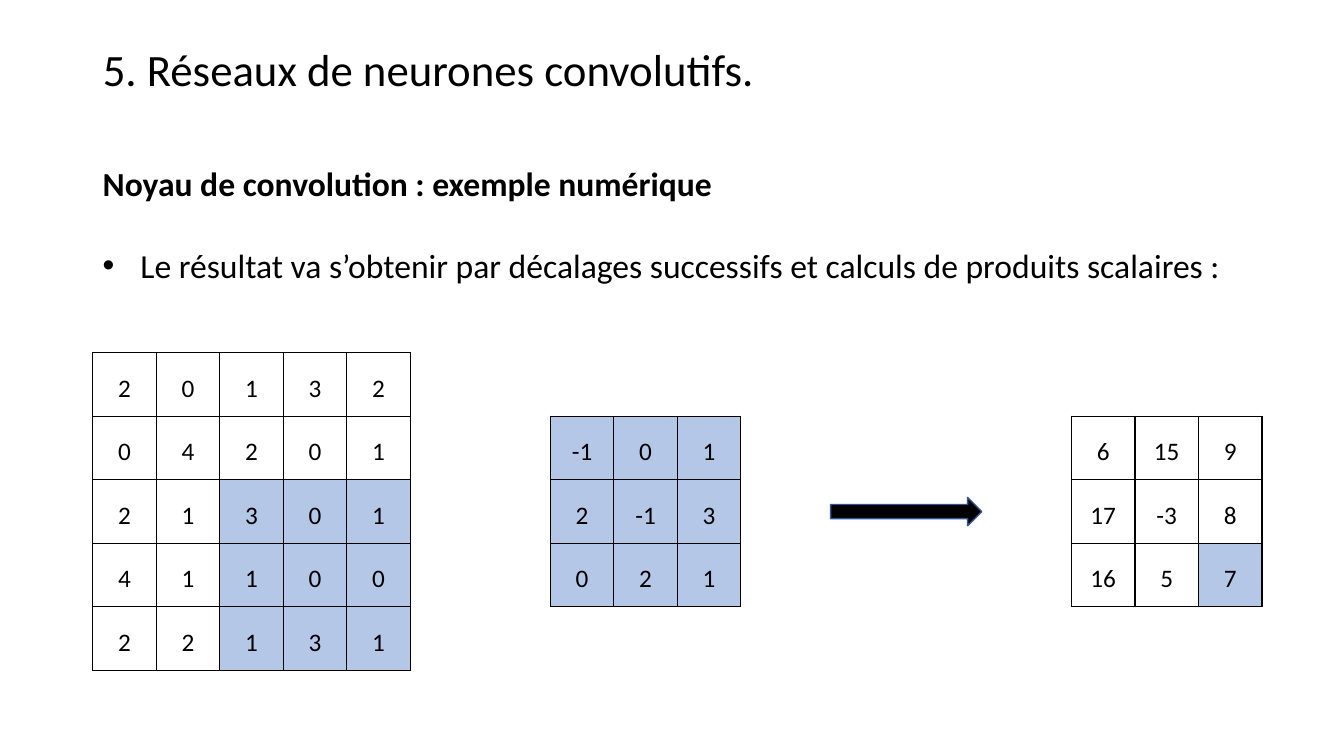
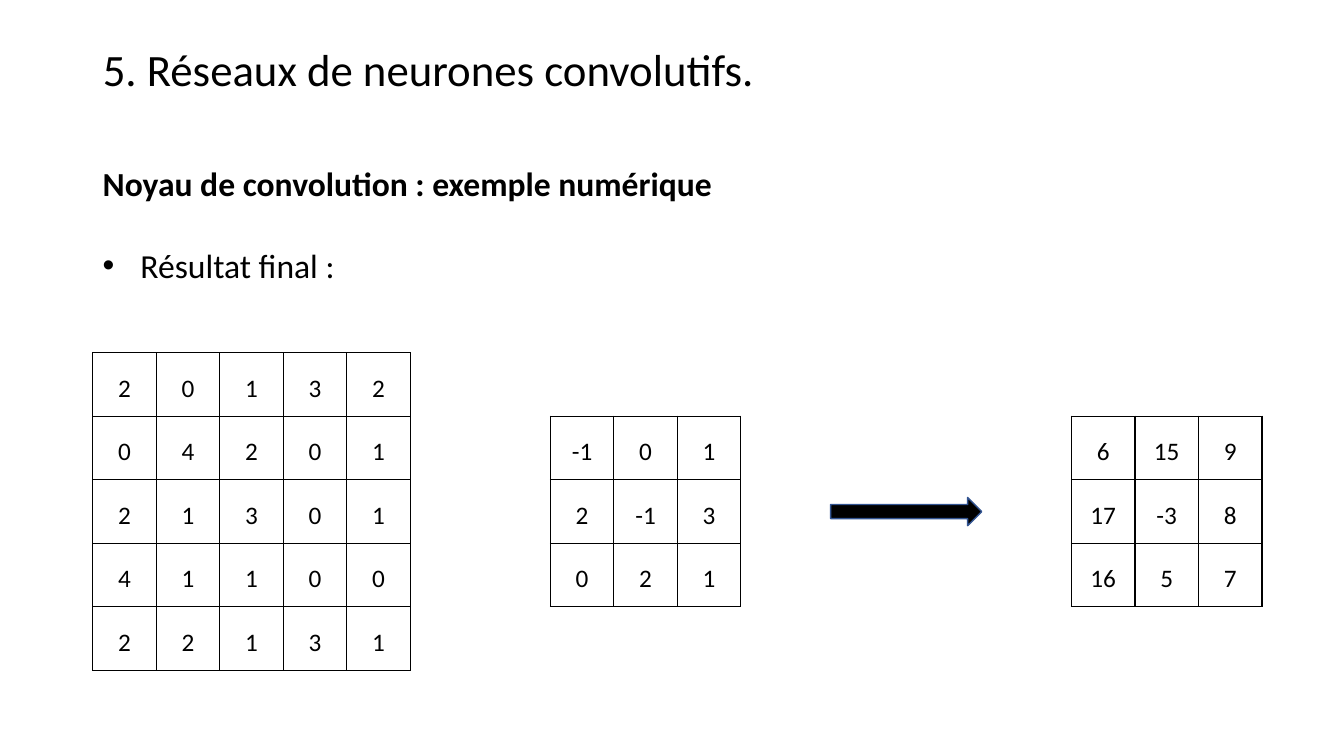
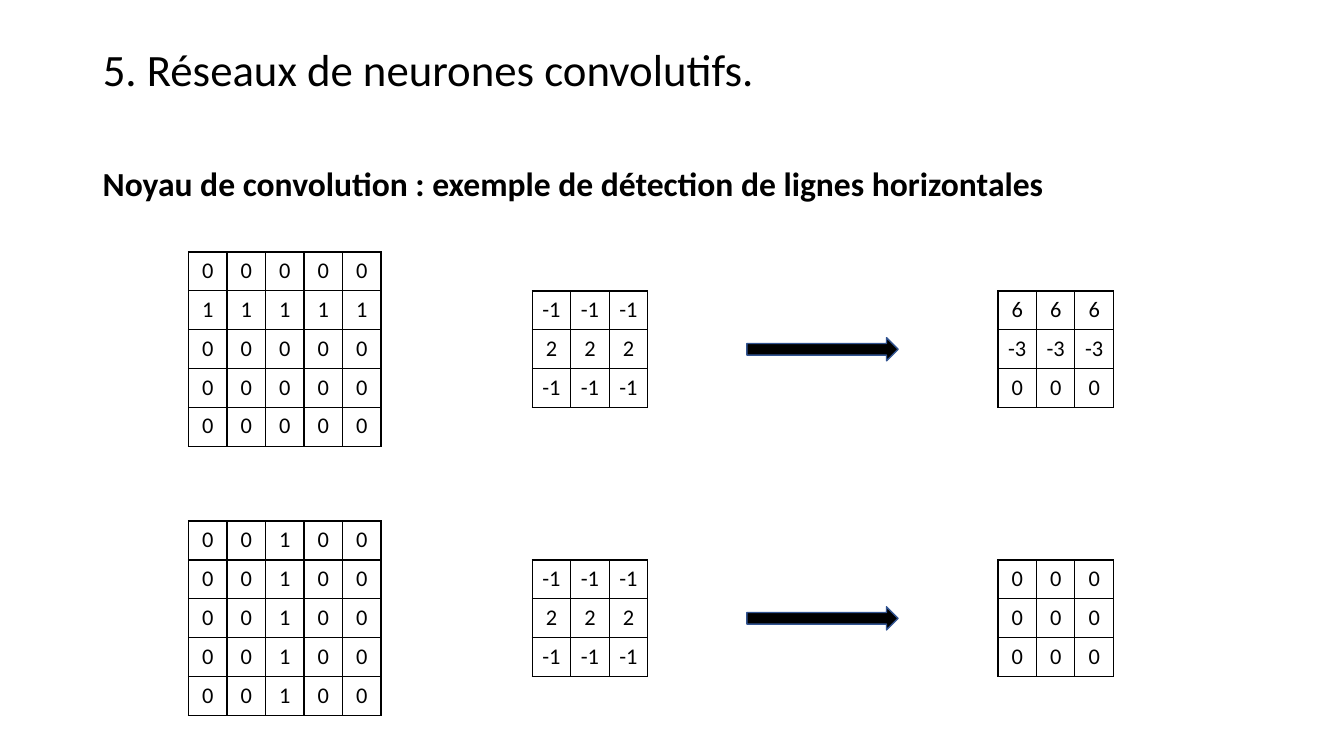
from dataclasses import dataclass
from typing import Optional

from lxml.etree import SubElement
from pptx import Presentation
from pptx.dml.color import RGBColor
from pptx.enum.shapes import MSO_SHAPE
from pptx.enum.text import MSO_ANCHOR, MSO_AUTO_SIZE, PP_ALIGN
from pptx.oxml.ns import qn
from pptx.util import Pt

COLORS = {
    "text": "000000",
    "cell": "FFFFFF",
    "window": "B4C7E7",
    "arrow": "000000",
    "arrow_edge": "325491",
}
FONT = "Calibri"
TITLE = "5. Réseaux de neurones convolutifs."
MARGIN = 66.24
HEADING_SIZE = 24
BULLET_INDENT = 27
ARROW_WIDTH = 108
GRID_LINE = 1

Matrix = list[list[int]]
Position = tuple[int, int]


@dataclass(frozen=True)
class GridStyle:
    cell_width: float
    cell_height: float
    font_size: float
    line_spacing: float
    image_left: float
    kernel_left: float
    arrow_left: float
    result_left: float
    arrow_height: float


@dataclass(frozen=True)
class Convolution:
    image: Matrix
    kernel: Matrix
    center_y: float
    window: Optional[Position] = None


@dataclass(frozen=True)
class Page:
    heading: str
    bullet: Optional[str]
    style: GridStyle
    convolutions: list[Convolution]


LARGE = GridStyle(45.36, 45.36, 18, 1.5, MARGIN, 393.12, 593.28, 765.36, 20.16)
SMALL = GridStyle(27.5, 27.8, 16, 1, 134.64, 380.16, 533.52, 712.8, 16.56)

NUMERIC_HEADING = "Noyau de convolution : exemple numérique"
NUMERIC_IMAGE = [
    [2, 0, 1, 3, 2],
    [0, 4, 2, 0, 1],
    [2, 1, 3, 0, 1],
    [4, 1, 1, 0, 0],
    [2, 2, 1, 3, 1],
]
NUMERIC_KERNEL = [[-1, 0, 1], [2, -1, 3], [0, 2, 1]]
NUMERIC_CENTER = 365.4

HORIZONTAL_LINE = [[int(row == 1)] * 5 for row in range(5)]
VERTICAL_LINE = [[0, 0, 1, 0, 0] for _ in range(5)]
LINE_KERNEL = [[-1] * 3, [2] * 3, [-1] * 3]

PAGES = [
    Page(
        NUMERIC_HEADING,
        "Le résultat va s’obtenir par décalages successifs et calculs de produits scalaires :",
        LARGE,
        [Convolution(NUMERIC_IMAGE, NUMERIC_KERNEL, NUMERIC_CENTER, window=(2, 2))],
    ),
    Page(
        NUMERIC_HEADING,
        "Résultat final :",
        LARGE,
        [Convolution(NUMERIC_IMAGE, NUMERIC_KERNEL, NUMERIC_CENTER)],
    ),
    Page(
        "Noyau de convolution : exemple de détection de lignes horizontales",
        None,
        SMALL,
        [
            Convolution(HORIZONTAL_LINE, LINE_KERNEL, 249.5),
            Convolution(VERTICAL_LINE, LINE_KERNEL, 441.7),
        ],
    ),
]


def rgb(name: str) -> RGBColor:
    return RGBColor.from_string(COLORS[name])


def format_runs(paragraph, size: float, bold: bool = False) -> None:
    for run in paragraph.runs:
        run.font.name = FONT
        run.font.size = Pt(size)
        run.font.bold = bold
        run.font.color.rgb = rgb("text")


def convolve(image: Matrix, kernel: Matrix) -> Matrix:
    """Slide the kernel over the image and take the dot product at each step."""
    size = len(kernel)
    steps = range(len(image) - size + 1)
    return [
        [
            sum(
                image[top + row][left + column] * kernel[row][column]
                for row in range(size)
                for column in range(size)
            )
            for left in steps
        ]
        for top in steps
    ]


def block(origin: Position, size: int) -> set[Position]:
    """Return the cells of a square block that starts at origin."""
    top, left = origin
    return {(top + row, left + column) for row in range(size) for column in range(size)}


def add_title(slide) -> None:
    title = slide.shapes.title
    title.left, title.top = Pt(MARGIN), Pt(28.8)
    title.width, title.height = Pt(828), Pt(45.36)
    frame = title.text_frame
    frame.text = TITLE
    frame.auto_size = MSO_AUTO_SIZE.NONE
    frame.vertical_anchor = MSO_ANCHOR.MIDDLE
    paragraph = frame.paragraphs[0]
    paragraph.alignment = PP_ALIGN.LEFT
    paragraph.line_spacing = 0.9
    format_runs(paragraph, 32)


def add_bullet(paragraph) -> None:
    properties = paragraph._p.get_or_add_pPr()
    properties.set("marL", str(Pt(BULLET_INDENT)))
    properties.set("indent", str(-Pt(BULLET_INDENT)))
    SubElement(properties, qn("a:buFont"), typeface="Arial")
    SubElement(properties, qn("a:buChar"), char="•")


def add_heading(slide, heading: str, bullet: Optional[str]) -> None:
    height = 94.32 if bullet else 36
    box = slide.shapes.add_textbox(Pt(MARGIN), Pt(113.04), Pt(828.72), Pt(height))
    frame = box.text_frame
    frame.word_wrap = True
    frame.auto_size = MSO_AUTO_SIZE.SHAPE_TO_FIT_TEXT
    frame.text = heading
    format_runs(frame.paragraphs[0], HEADING_SIZE, bold=True)
    if bullet:
        paragraph = frame.add_paragraph()
        paragraph.text = bullet
        paragraph.space_before = Pt(29.3)
        add_bullet(paragraph)
        format_runs(paragraph, HEADING_SIZE)


def add_borders(cell) -> None:
    properties = cell._tc.get_or_add_tcPr()
    for side in ("lnL", "lnR", "lnT", "lnB"):
        line = SubElement(properties, qn(f"a:{side}"), w=str(Pt(GRID_LINE)))
        fill = SubElement(line, qn("a:solidFill"))
        SubElement(fill, qn("a:srgbClr"), val=COLORS["text"])


def add_matrix(
    slide, matrix: Matrix, left: float, center_y: float, style: GridStyle, marked: set[Position]
) -> None:
    rows, columns = len(matrix), len(matrix[0])
    width, height = columns * style.cell_width, rows * style.cell_height
    table = slide.shapes.add_table(
        rows, columns, Pt(left), Pt(center_y - height / 2), Pt(width), Pt(height)
    ).table
    table.first_row = table.horz_banding = False
    for column in table.columns:
        column.width = Pt(style.cell_width)
    for row in table.rows:
        row.height = Pt(style.cell_height)
    for row_index, values in enumerate(matrix):
        for column_index, value in enumerate(values):
            cell = table.cell(row_index, column_index)
            cell.margin_left = cell.margin_right = 0
            add_borders(cell)
            cell.fill.solid()
            is_marked = (row_index, column_index) in marked
            cell.fill.fore_color.rgb = rgb("window" if is_marked else "cell")
            cell.text_frame.text = str(value)
            paragraph = cell.text_frame.paragraphs[0]
            paragraph.alignment = PP_ALIGN.CENTER
            paragraph.line_spacing = float(style.line_spacing)
            format_runs(paragraph, style.font_size)


def add_arrow(slide, center_y: float, style: GridStyle) -> None:
    arrow = slide.shapes.add_shape(
        MSO_SHAPE.RIGHT_ARROW,
        Pt(style.arrow_left),
        Pt(center_y - style.arrow_height / 2),
        Pt(ARROW_WIDTH),
        Pt(style.arrow_height),
    )
    arrow.shadow.inherit = False
    arrow.fill.solid()
    arrow.fill.fore_color.rgb = rgb("arrow")
    arrow.line.color.rgb = rgb("arrow_edge")
    arrow.line.width = Pt(1)


def add_convolution(slide, example: Convolution, style: GridStyle) -> None:
    image_marks, kernel_marks, result_marks = set(), set(), set()
    if example.window:
        size = len(example.kernel)
        image_marks = block(example.window, size)
        kernel_marks = block((0, 0), size)
        result_marks = {example.window}
    result = convolve(example.image, example.kernel)
    for matrix, left, marked in (
        (example.image, style.image_left, image_marks),
        (example.kernel, style.kernel_left, kernel_marks),
        (result, style.result_left, result_marks),
    ):
        add_matrix(slide, matrix, left, example.center_y, style, marked)
    add_arrow(slide, example.center_y, style)


def main() -> None:
    presentation = Presentation()
    presentation.slide_width, presentation.slide_height = Pt(960), Pt(540)
    title_only = presentation.slide_layouts.get_by_name("Title Only")
    for page in PAGES:
        slide = presentation.slides.add_slide(title_only)
        add_title(slide)
        add_heading(slide, page.heading, page.bullet)
        for example in page.convolutions:
            add_convolution(slide, example, page.style)
    presentation.save("out.pptx")


if __name__ == "__main__":
    main()
